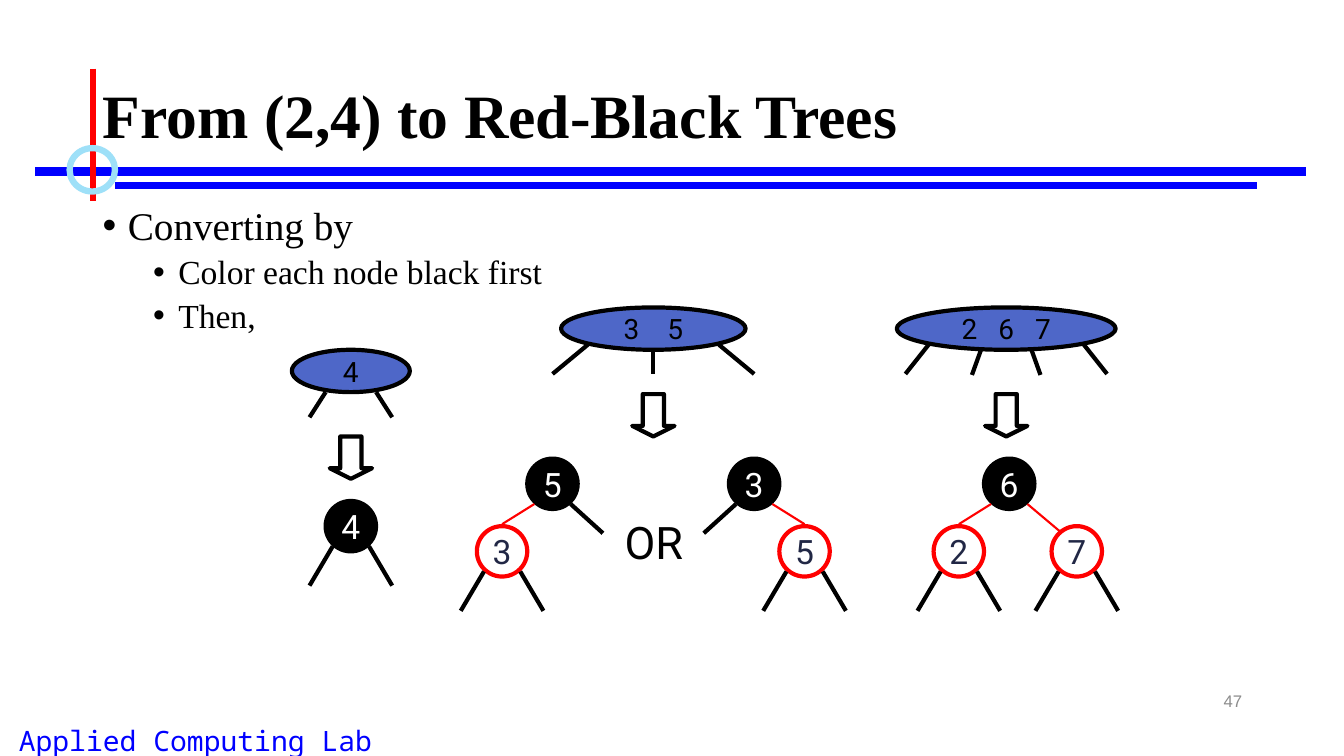
from dataclasses import dataclass

from lxml import etree
from pptx import Presentation
from pptx.dml import color
from pptx.enum import shapes, text
from pptx.oxml import ns
from pptx.util import Inches, Pt


@dataclass(frozen=True)
class Theme:
    """Colours, fonts and type sizes of the slide."""
    black: str = "000000"
    white: str = "FFFFFF"
    red: str = "FF0000"
    blue: str = "0000FF"
    ring: str = "9EE0F8"
    node: str = "4E67C8"
    ink: str = "212745"
    grey: str = "8C8C8C"
    serif: str = "Times New Roman"
    label: str = "Roboto"
    mono: str = "Noto Sans Mono"
    sans: str = "Arial"
    title_size: int = 44
    body_size: int = 28
    sub_size: int = 24
    or_size: int = 32
    key_size: int = 20
    binary_size: int = 24
    number_size: int = 12


@dataclass(frozen=True)
class Style:
    """Type style of one paragraph."""
    font: str
    size: int
    color: str
    bold: bool = False


@dataclass(frozen=True)
class Line:
    """Straight line between two points."""
    start: tuple[float, float]
    end: tuple[float, float]
    color: str
    width: float


@dataclass(frozen=True)
class Label:
    """Free text with its box and alignment."""
    words: str
    box: tuple[float, float, float, float]
    style: Style
    align: text.PP_ALIGN
    anchor: text.MSO_ANCHOR = text.MSO_ANCHOR.TOP
    wrap: bool = True


@dataclass(frozen=True)
class Leg:
    """Offsets of a line from a node's top centre."""
    start: tuple[float, float]
    end: tuple[float, float]
    red: bool = False


@dataclass(frozen=True)
class MultiNode:
    """Node of the (2,4) tree with its key gap in points."""
    keys: str
    center: float
    top: float
    width: float
    gap: int
    legs: tuple[Leg, ...]


@dataclass(frozen=True)
class BinaryNode:
    """Node of the red-black tree."""
    key: str
    center: float
    top: float
    legs: tuple[Leg, ...]
    red: bool = False


THEME = Theme()
OVAL = shapes.MSO_SHAPE.OVAL
STROKE, THIN, FRAME = 3, 1.5, 4.5
DIAMETER, HEIGHT, ARROW = 0.5, 0.42, 0.42
ROOT, CHILD = 4.55, 5.22


def pair(start: tuple[float, float], end: tuple[float, float]) -> tuple[Leg, ...]:
    """Return a leg and its mirror image."""
    return tuple(Leg((side * start[0], start[1]), (side * end[0], end[1])) for side in (-1, 1))


def branches(side: int) -> tuple[Leg, ...]:
    """Return a red edge on one side and a black leg on the other."""
    return (Leg((side * 0.18, 0.45), (side * 0.5, 0.65), True),
            Leg((-side * 0.18, 0.45), (-side * 0.5, 0.74)))


LEAVES = pair((0.18, 0.45), (0.41, 0.84))
SIX_EDGES = (Leg((-0.18, 0.45), (-0.5, 0.65), True), Leg((0.18, 0.45), (0.5, 0.72), True))

FRAME_LINES = (
    Line((0.35, 1.7), (12.95, 1.7), THEME.blue, 6),
    Line((1.14, 1.84), (12.47, 1.84), THEME.blue, FRAME),
    Line((0.92, 0.68), (0.92, 1.99), THEME.red, FRAME),
)
LABELS = (
    Label("Applied Computing Lab", (-0.58, 7.13, 5.04, 0.43),
          Style(THEME.mono, THEME.key_size, THEME.blue), text.PP_ALIGN.CENTER),
    Label("From (2,4) to Red-Black Trees", (0.92, 0.4, 11.5, 1.45),
          Style(THEME.serif, THEME.title_size, THEME.black, True),
          text.PP_ALIGN.LEFT, text.MSO_ANCHOR.MIDDLE),
    Label("47", (9.42, 6.75, 3, 0.4), Style(THEME.sans, THEME.number_size, THEME.grey),
          text.PP_ALIGN.RIGHT, text.MSO_ANCHOR.MIDDLE),
    Label("OR", (6.09, 5.06, 0.79, 0.63), Style(THEME.label, THEME.or_size, THEME.black),
          text.PP_ALIGN.CENTER, wrap=False),
)
BULLETS = (("Converting by", 0), ("Color each node black first", 1), ("Then,", 1))
MULTI_NODES = (
    MultiNode("4", 3.48, 3.47, 1.17, 0, pair((0.25, 0.42), (0.41, 0.67))),
    MultiNode("3 5", 6.48, 3.05, 1.83, 15,
              pair((0.65, 0.37), (1, 0.66)) + (Leg((0, 0.43), (0, 0.66)),)),
    MultiNode("2 6 7", 9.98, 3.05, 2.17, 10,
              pair((0.77, 0.37), (1, 0.66)) + pair((0.25, 0.42), (0.34, 0.67))),
)
BINARY_NODES = (
    BinaryNode("4", 3.48, 4.97, LEAVES),
    BinaryNode("5", 5.48, ROOT, branches(-1)),
    BinaryNode("3", 4.98, CHILD, LEAVES, True),
    BinaryNode("3", 7.48, ROOT, branches(1)),
    BinaryNode("5", 7.98, CHILD, LEAVES, True),
    BinaryNode("6", 10.01, ROOT, SIX_EDGES),
    BinaryNode("2", 9.51, CHILD, LEAVES, True),
    BinaryNode("7", 10.68, CHILD, LEAVES, True),
)


def rgb(value: str) -> color.RGBColor:
    """Turn a hex string into a colour."""
    return color.RGBColor.from_string(value)


def style_paragraph(paragraph, style: Style) -> None:
    """Set the font of a whole paragraph."""
    font = paragraph.font
    font.name, font.size, font.bold = style.font, Pt(style.size), style.bold
    font.color.rgb = rgb(style.color)


def draw_line(slide, line: Line) -> None:
    """Draw a straight line without a shadow."""
    points = [Inches(value) for value in (*line.start, *line.end)]
    connector = slide.shapes.add_connector(shapes.MSO_CONNECTOR.STRAIGHT, *points)
    connector.line.color.rgb, connector.line.width = rgb(line.color), Pt(line.width)
    etree.SubElement(connector._element.spPr, ns.qn("a:effectLst"))


def draw_shape(slide, kind, box: tuple[float, float, float, float], outline: str,
               width: float, fill: str | None = None):
    """Draw an outlined preset shape, filled when a colour is given."""
    shape = slide.shapes.add_shape(kind, *map(Inches, box))
    shape.shadow.inherit = False
    shape.line.color.rgb, shape.line.width = rgb(outline), Pt(width)
    if fill:
        shape.fill.solid()
        shape.fill.fore_color.rgb = rgb(fill)
    else:
        shape.fill.background()
    return shape


def write_keys(shape, keys: str, style: Style, gap: int = 0) -> None:
    """Write centred keys, widening each space by the gap."""
    frame = shape.text_frame
    frame.word_wrap, frame.vertical_anchor = False, text.MSO_ANCHOR.MIDDLE
    paragraph = frame.paragraphs[0]
    paragraph.alignment = text.PP_ALIGN.CENTER
    for character in keys:
        run = paragraph.add_run()
        run.text = character
        if character == " ":
            run._r.get_or_add_rPr().set("spc", str(gap * 100))
    style_paragraph(paragraph, style)


def draw_legs(slide, center: float, top: float, legs: tuple[Leg, ...]) -> None:
    """Draw the lines that hang from a node."""
    for leg in legs:
        start, end = ((center + x, top + y) for x, y in (leg.start, leg.end))
        draw_line(slide, Line(start, end, THEME.red if leg.red else THEME.black,
                              THIN if leg.red else STROKE))


def draw_multi_node(slide, node: MultiNode) -> None:
    """Draw a (2,4) node, its legs and the arrow below it."""
    box = (node.center - node.width / 2, node.top, node.width, HEIGHT)
    shape = draw_shape(slide, OVAL, box, THEME.black, STROKE, THEME.node)
    write_keys(shape, node.keys, Style(THEME.label, THEME.key_size, THEME.black), node.gap)
    draw_legs(slide, node.center, node.top, node.legs)
    arrow_box = (node.center - ARROW / 2, node.top + 0.86, ARROW, ARROW)
    arrow = draw_shape(slide, shapes.MSO_SHAPE.DOWN_ARROW, arrow_box, THEME.black, STROKE)
    arrow.adjustments[0], arrow.adjustments[1] = 0.5, 0.25


def draw_binary_node(slide, node: BinaryNode) -> None:
    """Draw a red or black node and its legs."""
    box = (node.center - DIAMETER / 2, node.top, DIAMETER, DIAMETER)
    outline, fill, ink = ((THEME.red, None, THEME.ink) if node.red
                          else (THEME.black, THEME.black, THEME.white))
    shape = draw_shape(slide, OVAL, box, outline, STROKE, fill)
    write_keys(shape, node.key, Style(THEME.label, THEME.binary_size, ink))
    draw_legs(slide, node.center, node.top, node.legs)


def draw_label(slide, label: Label) -> None:
    """Draw a line of free text."""
    frame = slide.shapes.add_textbox(*map(Inches, label.box)).text_frame
    frame.word_wrap, frame.vertical_anchor = label.wrap, label.anchor
    paragraph = frame.paragraphs[0]
    paragraph.text, paragraph.alignment = label.words, label.align
    style_paragraph(paragraph, label.style)


def draw_bullets(slide) -> None:
    """Draw the bulleted body text."""
    frame = slide.shapes.add_textbox(*map(Inches, (0.92, 2, 11.5, 4.76))).text_frame
    frame.word_wrap = True
    for index, (words, level) in enumerate(BULLETS):
        paragraph = frame.add_paragraph() if index else frame.paragraphs[0]
        paragraph.text, paragraph.level, paragraph.line_spacing = words, level, 0.9
        paragraph.space_before = Pt(5 if index else 0)
        properties = paragraph._p.get_or_add_pPr()
        properties.set("marL", str(Inches(0.25 + 0.5 * level)))
        properties.set("indent", str(Inches(-0.25)))
        etree.SubElement(properties, ns.qn("a:buFont"), typeface=THEME.sans)
        etree.SubElement(properties, ns.qn("a:buChar"), char="•")
        size = THEME.sub_size if level else THEME.body_size
        style_paragraph(paragraph, Style(THEME.serif, size, THEME.black))


def main() -> None:
    """Build and save the slide."""
    presentation = Presentation()
    presentation.slide_width, presentation.slide_height = Inches(13.33), Inches(7.5)
    slide = presentation.slides.add_slide(presentation.slide_layouts[6])
    for line in FRAME_LINES:
        draw_line(slide, line)
    draw_shape(slide, OVAL, (0.69, 1.47, 0.45, 0.43), THEME.ring, FRAME)
    for label in LABELS:
        draw_label(slide, label)
    draw_bullets(slide)
    for multi_node in MULTI_NODES:
        draw_multi_node(slide, multi_node)
    for binary_node in BINARY_NODES:
        draw_binary_node(slide, binary_node)
    presentation.save("out.pptx")


if __name__ == "__main__":
    main()
